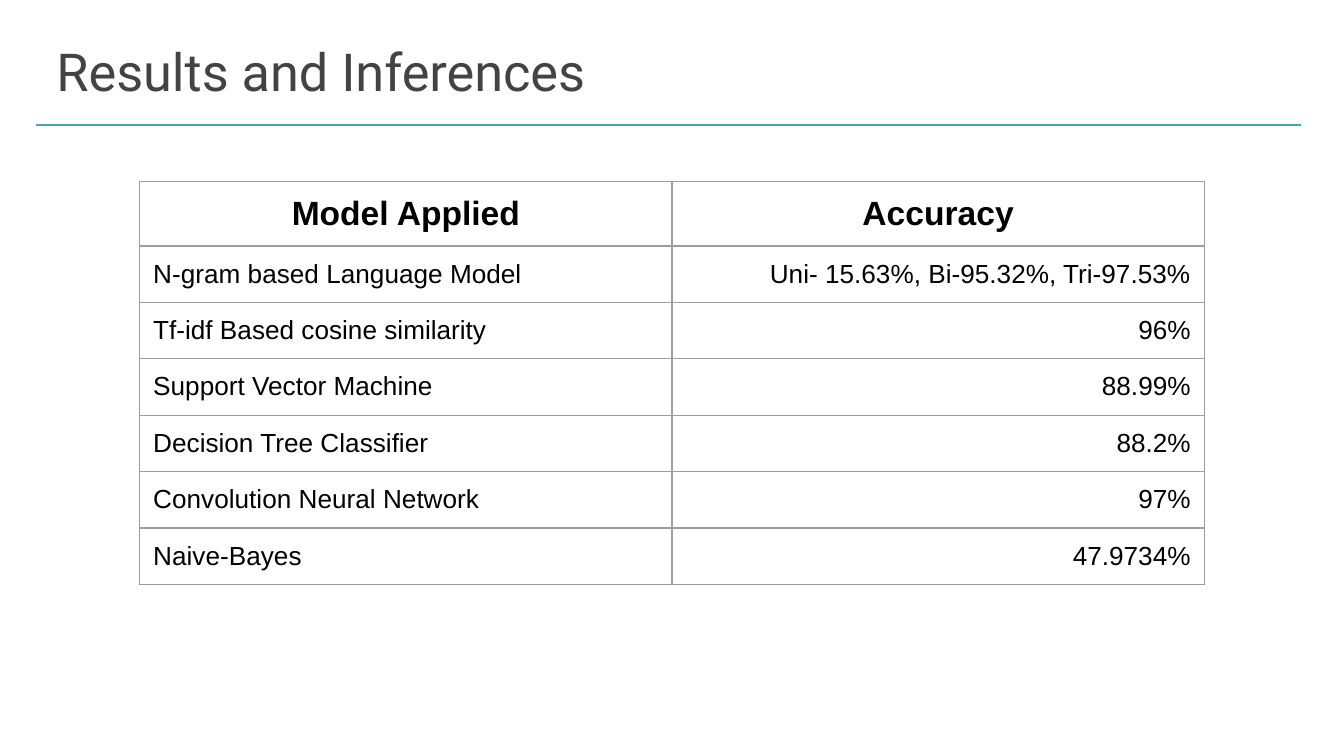
from typing import NamedTuple

from lxml import etree
from pptx import Presentation
from pptx.dml.color import RGBColor
from pptx.enum.shapes import MSO_CONNECTOR
from pptx.enum.text import MSO_ANCHOR, MSO_AUTO_SIZE, PP_ALIGN
from pptx.oxml.ns import qn
from pptx.util import Inches, Pt

LEFT, MID, RIGHT = PP_ALIGN.LEFT, PP_ALIGN.CENTER, PP_ALIGN.RIGHT
TOP, LOW = MSO_ANCHOR.TOP, MSO_ANCHOR.BOTTOM
NO_FIT = MSO_AUTO_SIZE.NONE
LINE = MSO_CONNECTOR.STRAIGHT

WIDE = 10
HIGH = WIDE * 9 / 16
PAD = Inches(0.1)
TEAL, GREY, DARK, BLACK = "3EADA7", "9E9E9E", "434343", "000000"


class Row(NamedTuple):
    model: str
    score: str
    anchor: MSO_ANCHOR = TOP  # of the score cell


HEAD = Row("Model Applied", "Accuracy")
ROWS = [
    Row("N-gram based Language Model", "Uni- 15.63%, Bi-95.32%, Tri-97.53%"),
    Row("Tf-idf Based cosine similarity", "96%"),
    Row("Support Vector Machine", "88.99%"),
    Row("Decision Tree Classifier", "88.2%", LOW),
    Row("Convolution Neural Network", "97%"),
    Row("Naive-Bayes", "47.9734%"),
]


def color(code: str) -> RGBColor:
    return RGBColor.from_string(code)


def write(frame, text: str, *, size: float, font: str = "Arial",
          ink: str = BLACK, bold: bool = False, align: PP_ALIGN = LEFT) -> None:
    par = frame.paragraphs[0]
    par.alignment = align
    run = par.add_run()
    run.text = text
    run.font.size, run.font.name, run.font.bold = Pt(size), font, bold
    run.font.color.rgb = color(ink)


def inset(box) -> None:
    box.margin_left = box.margin_right = PAD
    box.margin_top = box.margin_bottom = PAD


def border(cell, code: str, width: float) -> None:
    props = cell._tc.get_or_add_tcPr()
    for spot, side in enumerate(("lnL", "lnR", "lnT", "lnB")):
        edge = etree.Element(qn(f"a:{side}"), w=str(Pt(width)))
        fill = etree.SubElement(edge, qn("a:solidFill"))
        etree.SubElement(fill, qn("a:srgbClr"), val=code)
        props.insert(spot, edge)


def fill_cell(cell, text: str, anchor: MSO_ANCHOR, **style) -> None:
    inset(cell)
    cell.vertical_anchor = anchor
    cell.fill.background()
    border(cell, GREY, 0.75)
    write(cell.text_frame, text, **style)


def add_rule(slide, left: float, right: float, top: float) -> None:
    y = Inches(top)
    rule = slide.shapes.add_connector(LINE, Inches(left), y, Inches(right), y)
    rule.line.color.rgb = color(TEAL)
    rule.line.width = Pt(0.75)
    etree.SubElement(rule._element.spPr, qn("a:effectLst"))


def add_title(slide, text: str) -> None:
    title = slide.shapes.title
    title.left, title.top = Inches(0.32), Inches(0.19)
    title.width, title.height = Inches(9.32), Inches(0.63)
    frame = title.text_frame
    frame.word_wrap, frame.auto_size = True, NO_FIT
    frame.vertical_anchor = TOP
    inset(frame)
    write(frame, text, size=28, font="Roboto", ink=DARK)


def add_grid(slide, head: Row, rows: list[Row]) -> None:
    left, col, tall, step = 1.04, 3.96, 0.48, 0.42
    grid = slide.shapes.add_table(
        len(rows) + 1, 2, Inches(left), Inches(1.35),
        Inches(2 * col), Inches(tall + step * len(rows))).table
    grid.horz_banding = grid.first_row = False
    for i, row in enumerate([head, *rows]):
        top = i == 0
        grid.rows[i].height = Inches(tall if top else step)
        style = {"size": 18 if top else 14, "bold": top}
        fill_cell(grid.cell(i, 0), row.model, LOW if top else TOP,
                  align=MID if top else LEFT, **style)
        fill_cell(grid.cell(i, 1), row.score, row.anchor,
                  align=MID if top else RIGHT, **style)


def main() -> None:
    deck = Presentation()
    deck.slide_width, deck.slide_height = Inches(WIDE), Inches(HIGH)
    slide = deck.slides.add_slide(deck.slide_layouts[5])  # title only

    # Heading and its rule
    add_rule(slide, 0.27, 9.68, 0.93)
    add_title(slide, "Results and Inferences")

    # Accuracy by model
    add_grid(slide, HEAD, ROWS)
    deck.save("out.pptx")


if __name__ == "__main__":
    main()
